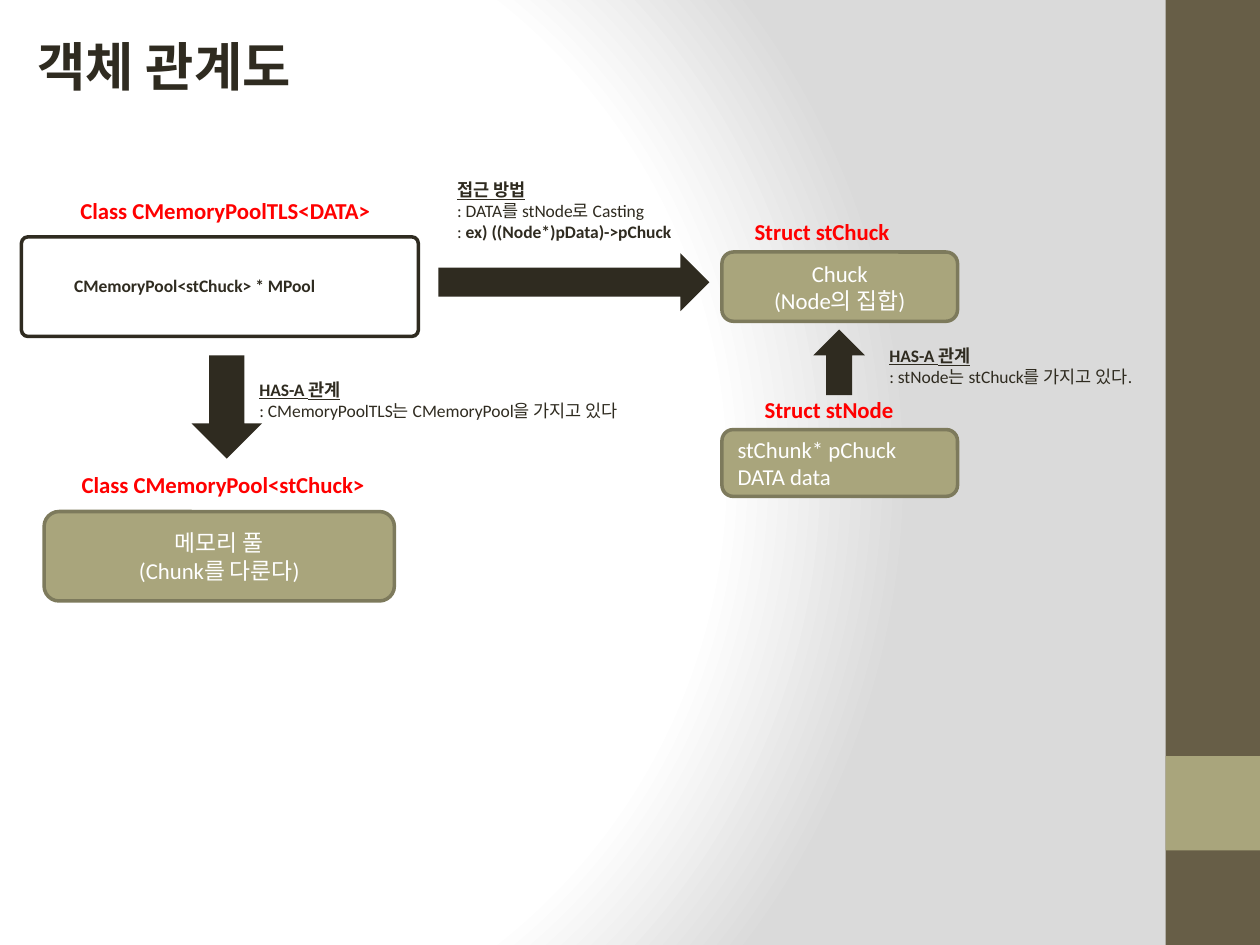
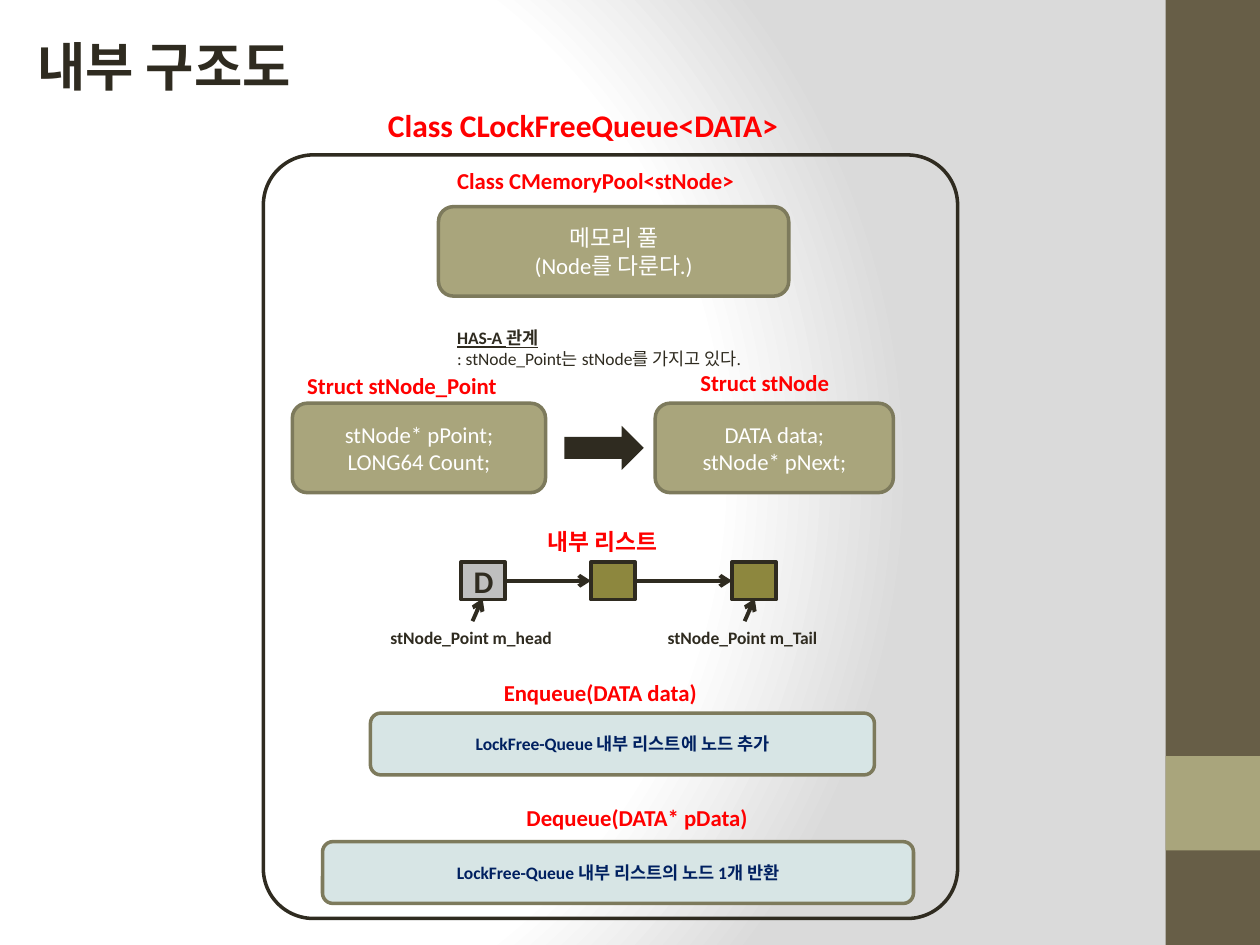
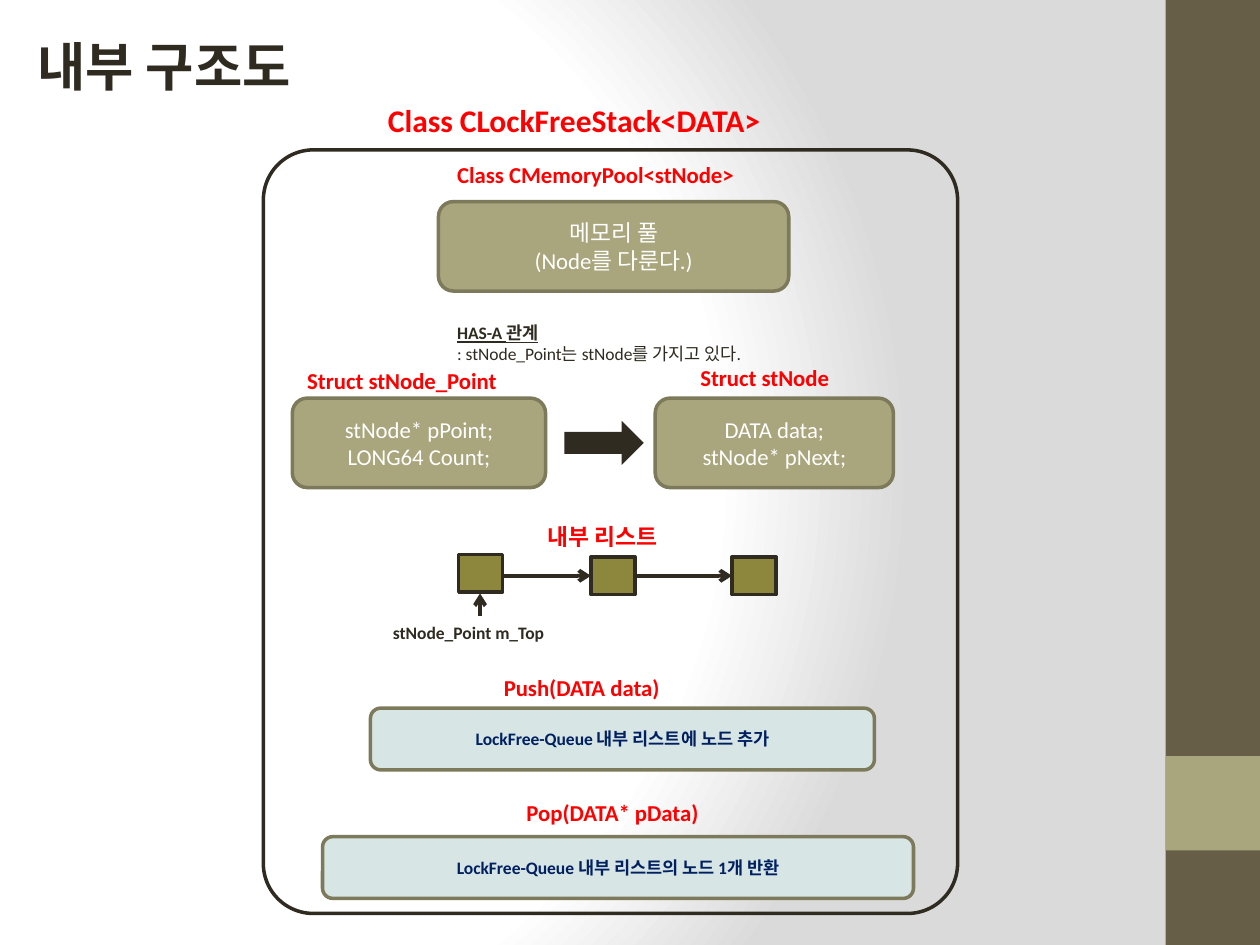
from lxml import etree
from pptx import Presentation
from pptx.dml.color import RGBColor
from pptx.enum.shapes import MSO_CONNECTOR, MSO_SHAPE as Shape
from pptx.enum.text import MSO_ANCHOR, MSO_AUTO_SIZE, PP_ALIGN
from pptx.oxml.ns import qn
from pptx.util import Inches, Pt

FONT = "Calibri"
INK = RGBColor(0x2F, 0x2B, 0x20)
RED = RGBColor(0xFF, 0x00, 0x00)
WHITE = RGBColor(0xFF, 0xFF, 0xFF)
NAVY = RGBColor(0x00, 0x20, 0x60)
BROWN = RGBColor(0x67, 0x5E, 0x47)
KHAKI = RGBColor(0xA9, 0xA5, 0x7C)
KHAKI_EDGE = RGBColor(0x7D, 0x7A, 0x5C)
OLIVE = RGBColor(0x8D, 0x87, 0x3E)
GRAY = RGBColor(0xBF, 0xBF, 0xBF)
PALE = RGBColor(0xD7, 0xE5, 0xE5)
SHADE = RGBColor(0xDA, 0xDA, 0xDA)

CELL_W, CELL_H = 0.35, 0.3


def set_background(master):
    master.background.fill.gradient()
    grad = master.element.find(".//" + qn("a:gradFill"))
    for child in list(grad):
        grad.remove(child)
    stops = etree.SubElement(grad, qn("a:gsLst"))
    for pos, color in ((0, WHITE), (75, WHITE), (100, SHADE)):
        stop = etree.SubElement(stops, qn("a:gs"), pos=str(pos * 1000))
        etree.SubElement(stop, qn("a:srgbClr"), val=str(color))
    circle = etree.SubElement(grad, qn("a:path"))
    circle.set("path", "circle")
    etree.SubElement(circle, qn("a:fillToRect"),
                     l="20000", t="50000", r="100000", b="50000")


def style(p, size, color, bold=False):
    p.font.name = FONT
    p.font.size = Pt(size)
    p.font.color.rgb = color
    p.font.bold = bold


def add_shape(s, kind, box, fill=None, line=None):
    sp = s.shapes.add_shape(kind, *map(Inches, box))
    sp.shadow.inherit = False
    if fill is None:
        sp.fill.background()
    else:
        sp.fill.solid()
        sp.fill.fore_color.rgb = fill
    if line is None:
        sp.line.fill.background()
    else:
        sp.line.color.rgb = line
        sp.line.width = Pt(2)
    return sp


def write(sp, lines, size, color, bold=False, align=PP_ALIGN.CENTER):
    tf = sp.text_frame
    tf.vertical_anchor = MSO_ANCHOR.MIDDLE
    for i, line in enumerate(lines):
        p = tf.add_paragraph() if i else tf.paragraphs[0]
        p.text = line
        p.alignment = align
        style(p, size, color, bold)


def text_frame(s, box):
    tf = s.shapes.add_textbox(*map(Inches, box)).text_frame
    tf.word_wrap = False
    tf.auto_size = MSO_AUTO_SIZE.SHAPE_TO_FIT_TEXT
    return tf


def label(s, x, y, w, text, size=13, color=RED):
    heights = {10: 0.27, 13: 0.32, 18: 0.4, 30: 0.61}
    p = text_frame(s, (x, y, w, heights[size])).paragraphs[0]
    p.text = text
    style(p, size, color, True)


def note(s, box, heading, body, code=None):
    tf = text_frame(s, box)
    p = tf.paragraphs[0]
    p.text = heading
    style(p, 10, INK, True)
    p.font.underline = True
    p = tf.add_paragraph()
    p.text = body
    style(p, 10, INK)
    if code:
        p = tf.add_paragraph()
        style(p, 10, INK)
        p.add_run().text = ": "
        r = p.add_run()
        r.text = code
        r.font.bold = True


def struct_box(s, box, *lines, align=PP_ALIGN.CENTER):
    sp = add_shape(s, Shape.ROUNDED_RECTANGLE, box, KHAKI, KHAKI_EDGE)
    write(sp, lines, 13, WHITE, align=align)


def operation_box(s, box, text):
    sp = add_shape(s, Shape.ROUNDED_RECTANGLE, box, PALE, KHAKI_EDGE)
    write(sp, [text], 10, NAVY, True)


def outline(s, box, radius):
    add_shape(s, Shape.ROUNDED_RECTANGLE, box, line=INK).adjustments[0] = radius


def block_arrow(s, box, rotation=0):
    add_shape(s, Shape.RIGHT_ARROW, box, INK).rotation = rotation


def thin_arrow(s, *ends):
    c = s.shapes.add_connector(MSO_CONNECTOR.STRAIGHT, *map(Inches, ends))
    c.line.color.rgb = INK
    c.line.width = Pt(2.25)
    etree.SubElement(c.line._get_or_add_ln(), qn("a:tailEnd"), type="arrow")
    etree.SubElement(c._element.spPr, qn("a:effectLst"))


def new_slide(prs, title):
    s = prs.slides.add_slide(prs.slide_layouts[6])
    add_shape(s, Shape.RECTANGLE, (9.25, 0, 0.75, 7.5), BROWN)
    add_shape(s, Shape.RECTANGLE, (9.25, 6, 0.75, 0.75), KHAKI)
    label(s, 0.2, 0.22, 2.4, title, 30, INK)
    return s


def pool_side(s, x, y):
    label(s, x + 0.37, y - 0.37, 2.97, "Class CMemoryPoolTLS<DATA>")
    outline(s, (x, y, 3.15, 0.79), 0.064)
    label(s, x + 0.32, y + 0.25, 2.15, "CMemoryPool<stChuck> * MPool", 10, INK)
    note(s, (x + 1.79, y + 1.08, 3.17, 0.44), "HAS-A 관계",
         ": CMemoryPoolTLS는 CMemoryPool을 가지고 있다")
    block_arrow(s, (x + 1.22, y + 1.07, 0.82, 0.56), 90)
    label(s, x + 0.38, y + 1.81, 2.88, "Class CMemoryPool<stChuck>")
    struct_box(s, (x + 0.18, y + 2.18, 2.78, 0.71), "메모리 풀", "(Chunk를 다룬다)")


def chunk_side(s, x, y):
    label(s, x + 0.16, y - 0.32, 1.46, "Struct stChuck")
    struct_box(s, (x, y, 1.87, 0.55), "Chuck", "(Node의 집합)")
    block_arrow(s, (x + 0.67, y + 0.67, 0.52, 0.41), 270)
    note(s, (x + 1.23, y + 0.69, 2.24, 0.44), "HAS-A 관계",
         ": stNode는 stChuck를 가지고 있다.")
    label(s, x + 0.24, y + 1.09, 1.4, "Struct stNode")
    struct_box(s, (x, y + 1.41, 1.87, 0.53), "stChunk* pChuck", "DATA data",
               align=PP_ALIGN.LEFT)


def relation_slide(prs):
    s = new_slide(prs, "객체 관계도")
    pool_side(s, 0.17, 1.88)
    chunk_side(s, 5.73, 2)
    block_arrow(s, (3.48, 2.01, 2.15, 0.46))
    note(s, (3.53, 1.37, 1.93, 0.61), "접근 방법",
         ": DATA를 stNode로 Casting", "ex) ((Node*)pData)->pChuck")


def node_structs(s, x, y):
    label(s, x + 1.44, y + 0.04, 2.82, "Class CMemoryPool<stNode>")
    struct_box(s, (x + 1.39, y + 0.41, 2.78, 0.71), "메모리 풀", "(Node를 다룬다.)")
    note(s, (x + 1.44, y + 1.32, 2.57, 0.44), "HAS-A 관계",
         ": stNode_Point는 stNode를 가지고 있다.")
    label(s, x + 0.25, y + 1.67, 1.73, "Struct stNode_Point")
    struct_box(s, (x + 0.23, y + 1.97, 2.01, 0.71), "stNode* pPoint;", "LONG64 Count;")
    block_arrow(s, (x + 2.39, y + 2.15, 0.63, 0.35))
    label(s, x + 3.37, y + 1.65, 1.24, "Struct stNode")
    struct_box(s, (x + 3.11, y + 1.97, 1.89, 0.71), "DATA data;", "stNode* pNext;")


def node_list(s, x, y, first_cell, pointers, dummy=None):
    label(s, x + 2.16, y - 0.32, 1.18, "내부 리스트")
    cells = [first_cell, (2.6, 0), (3.72, 0)]
    for i, (dx, dy) in enumerate(cells):
        is_dummy = dummy and i == 0
        sp = add_shape(s, Shape.RECTANGLE, (x + dx, y + dy, CELL_W, CELL_H),
                       GRAY if is_dummy else OLIVE, INK)
        if is_dummy:
            write(sp, [dummy], 18, INK, True)
    for (start, _), (end, _) in zip(cells, cells[1:]):
        thin_arrow(s, x + start + CELL_W, y + 0.15, x + end, y + 0.15)
    for name, dx, width, tail_x, head_x in pointers:
        label(s, x + dx, y + 0.47, width, name, 10, INK)
        thin_arrow(s, x + tail_x, y + 0.47, x + head_x, y + 0.29)


def operations(s, x, y, add_label, remove_label):
    label(s, x + 1.81, y, *add_label)
    operation_box(s, (x + 0.85, y + 0.32, 4, 0.49), "LockFree-Queue 내부 리스트에 노드 추가")
    label(s, x + 1.99, y + 0.99, *remove_label)
    operation_box(s, (x + 0.47, y + 1.34, 4.69, 0.49),
                  "LockFree-Queue 내부 리스트의 노드 1개 반환")


def structure_slide(prs, y, heading, heading_w, add_label, remove_label, **chain):
    x = 2.09
    s = new_slide(prs, "내부 구조도")
    outline(s, (x, y, 5.51, 6.06), 0.072)
    label(s, x + 0.89, y - 0.44, heading_w, heading, 18)
    node_structs(s, x, y)
    node_list(s, x, y + 3.23, **chain)
    operations(s, x, y + 4.11, add_label, remove_label)


def main():
    prs = Presentation()
    prs.slide_width, prs.slide_height = Inches(10), Inches(7.5)
    set_background(prs.slide_master)
    relation_slide(prs)
    structure_slide(prs, 1.23, "Class CLockFreeQueue<DATA>", 3.91,
                    (2.06, "Enqueue(DATA data)"), (2.22, "Dequeue(DATA* pData)"),
                    first_cell=(1.57, 0), dummy="D",
                    pointers=[("stNode_Point m_head", 0.91, 1.51, 1.66, 1.74),
                              ("stNode_Point m_Tail", 3.11, 1.43, 3.82, 3.9)])
    structure_slide(prs, 1.19, "Class CLockFreeStack<DATA>", 3.19,
                    (1.66, "Push(DATA data)"), (1.79, "Pop(DATA* pData)"),
                    first_cell=(1.55, -0.02),
                    pointers=[("stNode_Point m_Top", 0.93, 1.59, 1.72, 1.72)])
    prs.save("out.pptx")


if __name__ == "__main__":
    main()
